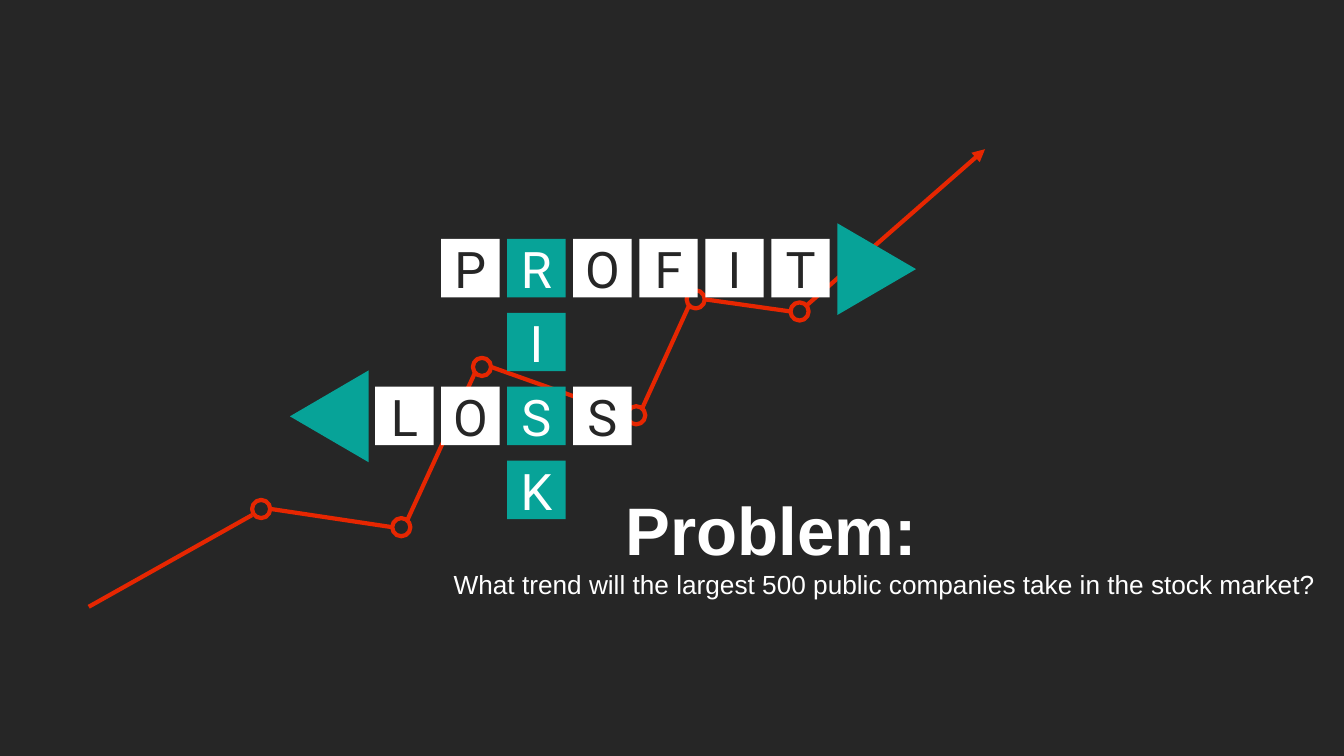
from dataclasses import dataclass

from lxml import etree
from pptx import Presentation
from pptx import util as u
from pptx.dml.color import RGBColor
from pptx.enum import shapes, text
from pptx.oxml import ns


@dataclass(frozen=True)
class Theme:
    dark: str = "262626"
    light: str = "FFFFFF"
    accent: str = "07A398"
    trend: str = "E62601"
    heading_font: str = "Arial"
    tile_font: str = "Roboto"
    heading_size: float = 48
    question_size: float = 18.7
    tile_size: float = 36
    trend_width: float = 3


class SlideBuilder:
    def __init__(self, presentation, theme):
        self.theme = theme
        self.slide = presentation.slides.add_slide(presentation.slide_layouts[6])
        fill = self.slide.background.fill
        fill.solid()
        fill.fore_color.rgb = RGBColor.from_string(theme.dark)

    def shape(self, kind, left, top, width, height, color=None):
        shape = self.slide.shapes.add_shape(
            kind, u.Inches(left), u.Inches(top), u.Inches(width), u.Inches(height)
        )
        shape.shadow.inherit = False
        shape.line.fill.background()
        if color:
            shape.fill.solid()
            shape.fill.fore_color.rgb = RGBColor.from_string(color)
        else:
            shape.fill.background()
        return shape

    def stroke(self, line):
        line.color.rgb = RGBColor.from_string(self.theme.trend)
        line.width = u.Pt(self.theme.trend_width)

    def marker(self, left, top, size):
        shape = self.shape(shapes.MSO_SHAPE.OVAL, left, top, size, size)
        self.stroke(shape.line)

    def segment(self, start, end, arrow=False):
        connector = self.slide.shapes.add_connector(
            shapes.MSO_CONNECTOR.STRAIGHT, *(u.Inches(value) for value in start + end)
        )
        self.stroke(connector.line)
        properties = connector._element.spPr
        etree.SubElement(properties, ns.qn("a:effectLst"))
        if arrow:
            line = properties.find(ns.qn("a:ln"))
            etree.SubElement(line, ns.qn("a:tailEnd"), type="triangle")

    def set_text(self, frame, content, font, size, color, align, bold=False):
        frame.text = content
        frame.word_wrap = True
        frame.vertical_anchor = text.MSO_ANCHOR.MIDDLE
        paragraph = frame.paragraphs[0]
        paragraph.alignment = align
        for run in paragraph.runs:
            run.font.name = font
            run.font.size = u.Pt(size)
            run.font.bold = bold
            run.font.color.rgb = RGBColor.from_string(color)

    def tile(self, letter, left, top, size, fill, color):
        shape = self.shape(shapes.MSO_SHAPE.RECTANGLE, left, top, size, size, fill)
        frame = shape.text_frame
        frame.margin_left = frame.margin_right = 0
        frame.margin_top = frame.margin_bottom = 0
        self.set_text(frame, letter, self.theme.tile_font, self.theme.tile_size,
                      color, text.PP_ALIGN.CENTER)

    def pointer(self, left, top, rotation):
        shape = self.shape(shapes.MSO_SHAPE.ISOSCELES_TRIANGLE, left, top,
                           0.91, 0.78, self.theme.accent)
        shape.rotation = rotation

    def label(self, content, left, top, width, height, size, align, bold=False):
        box = self.slide.shapes.add_textbox(
            u.Inches(left), u.Inches(top), u.Inches(width), u.Inches(height)
        )
        self.set_text(box.text_frame, content, self.theme.heading_font, size,
                      self.theme.light, align, bold)


MARKER_SIZE = 0.18
MARKERS = [(2.5, 4.96), (3.89, 5.14), (4.69, 3.55),
           (6.22, 4.03), (6.81, 2.88), (7.84, 3)]
SEGMENTS = [
    ((0.88, 6.02), (2.5, 5.11)),
    ((3.89, 5.23), (2.69, 5.05)),
    ((4.71, 3.7), (4.04, 5.16)),
    ((6.22, 4.12), (4.87, 3.64)),
    ((6.83, 3.04), (6.37, 4.05)),
    ((6.99, 2.97), (7.84, 3.09)),
]
ARROW = ((8, 3.03), (9.77, 1.48))

TILE_SIZE = 0.58
GRID_LEFT, GRID_TOP = 3.72, 2.37
COLUMN_STEP, ROW_STEP = 3.93 / 6, 2.2 / 3


def crossword(theme):
    cells = {}
    for word, first_column, row in (("PROFIT", 1, 0), ("LOSS", 0, 2)):
        for offset, letter in enumerate(word):
            cells[first_column + offset, row] = (letter, theme.light, theme.dark)
    for row, letter in enumerate("RISK"):
        cells[2, row] = (letter, theme.accent, theme.light)
    return cells


def main():
    presentation = Presentation()
    presentation.slide_width = u.Inches(13.33)
    presentation.slide_height = u.Inches(7.5)
    theme = Theme()
    builder = SlideBuilder(presentation, theme)

    for left, top in MARKERS:
        builder.marker(left, top, MARKER_SIZE)
    for start, end in SEGMENTS:
        builder.segment(start, end)
    builder.segment(*ARROW, arrow=True)

    builder.label("Problem:", 6.11, 4.77, 7.11, 0.95, theme.heading_size,
                  text.PP_ALIGN.LEFT, bold=True)
    builder.label(
        "What trend will the largest 500 public companies take in the stock market?",
        4.39, 5.58, 8.76, 0.42, theme.question_size, text.PP_ALIGN.CENTER,
    )

    for (column, row), (letter, fill, color) in crossword(theme).items():
        builder.tile(letter, GRID_LEFT + column * COLUMN_STEP,
                     GRID_TOP + row * ROW_STEP, TILE_SIZE, fill, color)
    builder.pointer(8.24, 2.28, 90)
    builder.pointer(2.81, 3.74, 270)

    presentation.save("out.pptx")


if __name__ == "__main__":
    main()
